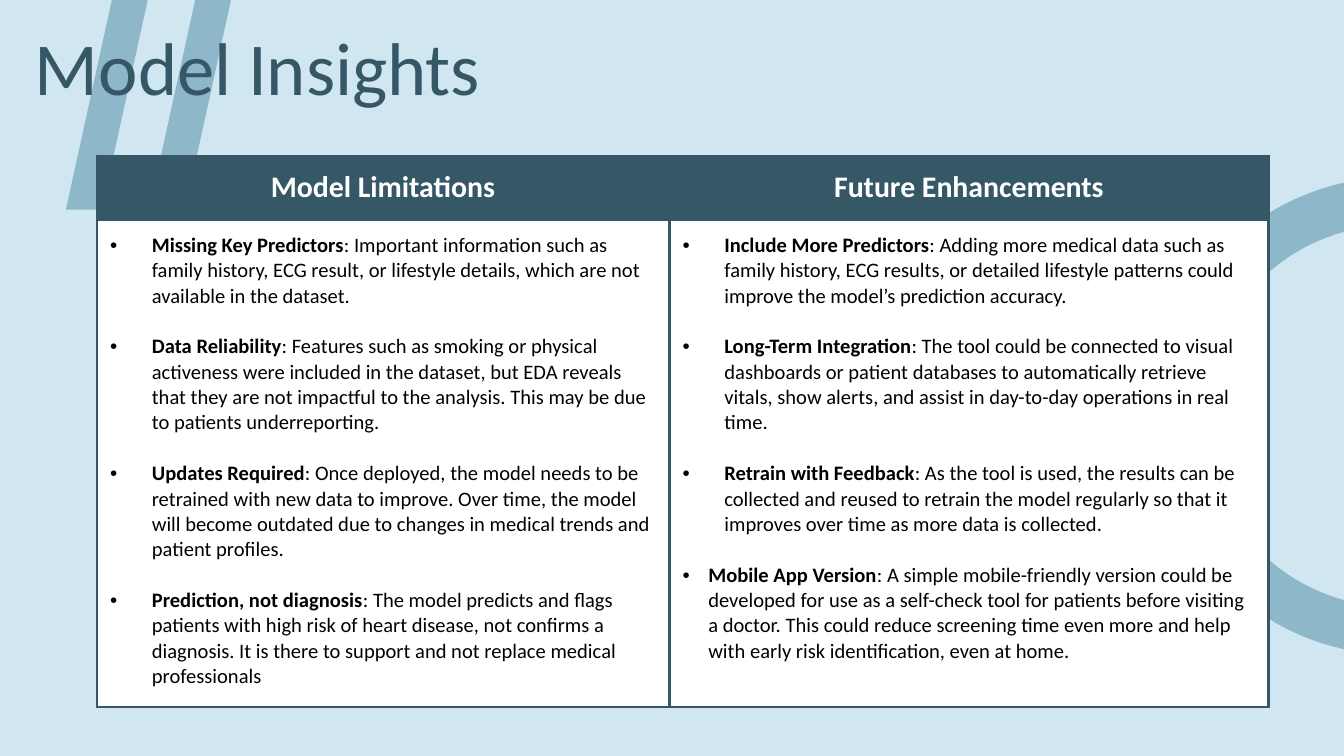
from dataclasses import dataclass
from pptx import Presentation
from pptx.dml.color import RGBColor as RGB
from pptx.enum.shapes import MSO_SHAPE as Shape
from pptx.enum.text import MSO_ANCHOR as Anchor, MSO_AUTO_SIZE as Fit, PP_ALIGN as Align
from pptx.oxml import parse_xml
from pptx.oxml.ns import nsdecls
from pptx.util import Inches, Pt


@dataclass(frozen=True)
class Theme:
    font: str = "Calibri"
    back: str = "D0E7F1"
    shade: str = "8EB7CA"
    dark: str = "355766"
    white: str = "FFFFFF"
    black: str = "000000"
    title: float = 40
    head: float = 16
    body: float = 11
    gap: float = 13.6
    rule: float = 1.5


THEME = Theme()
PAD = Inches(0.1)
WIDE = 0.31
SLIM = 0.19

LIMITS = [
    ("Missing Key Predictors", "Important information such as family history, ECG result, "
     "or lifestyle details, which are not available in the dataset.", WIDE),
    ("Data Reliability", "Features such as smoking or physical activeness were included in "
     "the dataset, but EDA reveals that they are not impactful to the analysis. "
     "This may be due to patients underreporting.", WIDE),
    ("Updates Required", "Once deployed, the model needs to be retrained with new data to "
     "improve. Over time, the model will become outdated due to changes in medical trends "
     "and patient profiles.", WIDE),
    ("Prediction, not diagnosis", "The model predicts and flags patients with high risk of "
     "heart disease, not confirms a diagnosis. It is there to support and not replace "
     "medical professionals", WIDE),
]
PLANS = [
    ("Include More Predictors", "Adding more medical data such as family history, ECG "
     "results, or detailed lifestyle patterns could improve the model’s prediction "
     "accuracy.", WIDE),
    ("Long-Term Integration", "The tool could be connected to visual dashboards or patient "
     "databases to automatically retrieve vitals, show alerts, and assist in day-to-day "
     "operations in real time.", WIDE),
    ("Retrain with Feedback", "As the tool is used, the results can be collected and reused "
     "to retrain the model regularly so that it improves over time as more data is "
     "collected.", WIDE),
    ("Mobile App Version", "A simple mobile-friendly version could be developed for use as a "
     "self-check tool for patients before visiting a doctor. This could reduce screening "
     "time even more and help with early risk identification, even at home.", SLIM),
]
COLUMNS = [("Model Limitations", LIMITS, 4.26), ("Future Enhancements", PLANS, 4.46)]


def style(run, size, color, bold=False):
    run.font.name = THEME.font
    run.font.size = Pt(size)
    run.font.bold = bold
    run.font.color.rgb = RGB.from_string(color)


def pad(box):
    box.margin_left = box.margin_right = box.margin_top = box.margin_bottom = PAD


def add_decor(slide, kind, box, adjust):
    shape = slide.shapes.add_shape(kind, *map(Inches, box))
    shape.adjustments[0] = adjust
    shape.shadow.inherit = False
    shape.fill.solid()
    shape.fill.fore_color.rgb = RGB.from_string(THEME.shade)
    shape.line.fill.background()


def set_title(slide, text):
    title = slide.shapes.title
    title.left, title.top, title.width, title.height = map(Inches, (0.16, 0, 9.84, 0.92))
    frame = title.text_frame
    frame.text = text
    frame.auto_size = Fit.NONE
    frame.vertical_anchor = Anchor.BOTTOM
    pad(frame)
    para = frame.paragraphs[0]
    para.alignment = Align.LEFT
    style(para.runs[0], THEME.title, THEME.dark)
    slide.shapes.element.append(title.element)


def dress(cell, fill):
    pad(cell)
    props = cell._tc.get_or_add_tcPr()
    for side in "LRTB":
        props.append(parse_xml(
            f'<a:ln{side} {nsdecls("a")} w="{Pt(THEME.rule)}"><a:solidFill>'
            f'<a:srgbClr val="{THEME.dark}"/></a:solidFill></a:ln{side}>'))
    cell.fill.solid()
    cell.fill.fore_color.rgb = RGB.from_string(fill)


def add_bullet(para, indent):
    props = para._p.get_or_add_pPr()
    props.set("marL", str(Inches(indent)))
    props.set("indent", str(-Inches(indent)))
    for item in (f'<a:buClr {nsdecls("a")}><a:srgbClr val="{THEME.black}"/></a:buClr>',
                 f'<a:buFont {nsdecls("a")} typeface="Arial"/>',
                 f'<a:buChar {nsdecls("a")} char="•"/>'):
        props.append(parse_xml(item))


def fill_head(cell, text):
    dress(cell, THEME.dark)
    cell.vertical_anchor = Anchor.MIDDLE
    cell.text_frame.text = text
    para = cell.text_frame.paragraphs[0]
    para.alignment = Align.CENTER
    style(para.runs[0], THEME.head, THEME.white, True)


def fill_list(cell, points):
    dress(cell, THEME.white)
    frame = cell.text_frame
    for i, (name, text, indent) in enumerate(points):
        para = frame.add_paragraph() if i else frame.paragraphs[0]
        add_bullet(para, indent)
        if i:
            para.space_before = Pt(THEME.gap)
        for part, bold in ((name, True), (f": {text}", False)):
            run = para.add_run()
            run.text = part
            style(run, THEME.body, THEME.black, bold)


def add_grid(slide):
    box = map(Inches, (0.72, 1.16, 8.72, 4.09))
    holder = slide.shapes.add_table(2, len(COLUMNS), *box)
    table = holder.table
    table.horz_banding = False
    for row, height in zip(table.rows, (0.38, 3.63)):
        row.height = Inches(height)
    for i, (head, points, width) in enumerate(COLUMNS):
        table.columns[i].width = Inches(width)
        fill_head(table.cell(0, i), head)
        fill_list(table.cell(1, i), points)
    holder.height = Inches(4.09)


def main():
    deck = Presentation()
    deck.slide_width, deck.slide_height = Inches(10), Inches(10 * 9 / 16)
    slide = deck.slides.add_slide(deck.slide_layouts[5])
    slide.background.fill.solid()
    slide.background.fill.fore_color.rgb = RGB.from_string(THEME.back)
    for left in (1.11, 0.49):
        add_decor(slide, Shape.PARALLELOGRAM, (left, -0.05, 0.62, 1.61), 0.57)
    add_decor(slide, Shape.DONUT, (8.6, 1.32, 3.55, 3.55), 0.1)
    add_grid(slide)
    set_title(slide, "Model Insights")
    deck.save("out.pptx")


if __name__ == "__main__":
    main()
